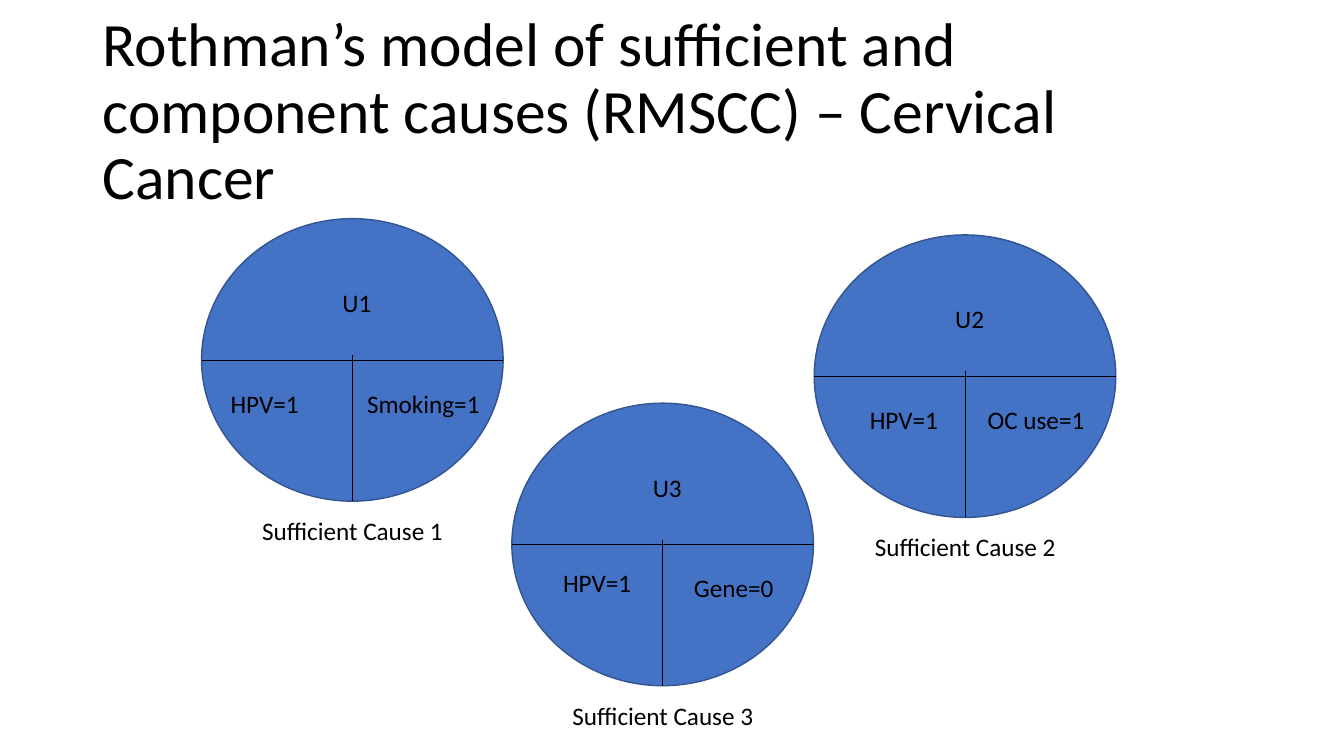
from dataclasses import dataclass

from lxml.etree import SubElement
from pptx import Presentation
from pptx.dml.color import RGBColor
from pptx.enum.shapes import MSO_CONNECTOR, MSO_SHAPE
from pptx.enum.text import MSO_ANCHOR, MSO_AUTO_SIZE, PP_ALIGN
from pptx.oxml.ns import qn
from pptx.util import Cm, Pt

BLACK = RGBColor(0x00, 0x00, 0x00)
WHITE = RGBColor(0xFF, 0xFF, 0xFF)
PIE_BLUE = RGBColor(0x44, 0x72, 0xC4)
OUTLINE_BLUE = RGBColor(0x32, 0x54, 0x91)
FONT = "Calibri"

PIE_WIDTH, PIE_HEIGHT = 7.6, 7.12
LABEL_HEIGHT = 1.02


@dataclass
class Cause:
    """A sufficient cause; label boxes are (left, top, width) in cm from the pie's corner."""
    number: int
    left: float
    top: float
    component: str
    hpv_box: tuple = (0.48, 4.14, 3.56)
    hpv_align: PP_ALIGN = PP_ALIGN.CENTER
    component_box: tuple = (3.33, 4.14, 4.52)


CAUSES = [
    Cause(2, 20.52, 5.92, "OC use=1"),
    Cause(3, 12.9, 10.16, "Gene=0", hpv_box=(0.23, 4.01, 3.84)),
    Cause(1, 5.08, 5.51, "Smoking=1", hpv_align=PP_ALIGN.LEFT),
]


def write(paragraph, text, size):
    run = paragraph.add_run()
    run.text = text
    run.font.name = FONT
    run.font.size = Pt(size)
    run.font.color.rgb = BLACK


def set_title(slide):
    title = slide.shapes.title
    title.left, title.top, title.width, title.height = Cm(2.33), Cm(1.01), Cm(29.21), Cm(3.68)
    frame = title.text_frame
    frame.word_wrap = True
    frame.auto_size = MSO_AUTO_SIZE.NONE
    frame.vertical_anchor = MSO_ANCHOR.MIDDLE
    paragraph = frame.paragraphs[0]
    paragraph.alignment = PP_ALIGN.LEFT
    paragraph.line_spacing = 0.9
    write(paragraph, "Rothman’s model of sufficient and component causes (RMSCC) – Cervical Cancer", 44)


def add_divider(group, start_x, start_y, end_x, end_y):
    line = group.shapes.add_connector(
        MSO_CONNECTOR.STRAIGHT, Cm(start_x), Cm(start_y), Cm(end_x), Cm(end_y))
    line.line.color.rgb = BLACK
    line.line.width = Pt(0.5)
    SubElement(line._element.spPr, qn("a:effectLst"))


def add_label(group, text, left, top, width, alignment=PP_ALIGN.CENTER):
    label = group.shapes.add_textbox(Cm(left), Cm(top), Cm(width), Cm(LABEL_HEIGHT))
    frame = label.text_frame
    frame.word_wrap = True
    frame.auto_size = MSO_AUTO_SIZE.SHAPE_TO_FIT_TEXT
    paragraph = frame.paragraphs[0]
    paragraph.alignment = alignment
    write(paragraph, text, 18)


def add_cause_pie(slide, cause):
    group = slide.shapes.add_group_shape()
    group.name = f"Sufficient Cause {cause.number}"
    left, top = cause.left, cause.top
    center_x, center_y = left + PIE_WIDTH / 2, top + PIE_HEIGHT / 2

    pie = group.shapes.add_shape(
        MSO_SHAPE.OVAL, Cm(left), Cm(top), Cm(PIE_WIDTH), Cm(PIE_HEIGHT))
    pie.shadow.inherit = False
    pie.fill.solid()
    pie.fill.fore_color.rgb = PIE_BLUE
    pie.line.color.rgb = OUTLINE_BLUE
    pie.line.width = Pt(1)

    add_divider(group, left, center_y, left + PIE_WIDTH, center_y)
    add_divider(group, center_x, top + PIE_HEIGHT, center_x, center_y - 0.12)

    labels = [
        ("HPV=1", cause.hpv_box, cause.hpv_align),
        (f"U{cause.number}", (2.38, 1.61, 3.07), PP_ALIGN.CENTER),
        (cause.component, cause.component_box, PP_ALIGN.CENTER),
        (f"Sufficient Cause {cause.number}", (0.48, 7.35, 6.65), PP_ALIGN.CENTER),
    ]
    for text, (offset_x, offset_y, width), alignment in labels:
        add_label(group, text, left + offset_x, top + offset_y, width, alignment)


def main():
    presentation = Presentation()
    presentation.slide_width, presentation.slide_height = Cm(33.87), Cm(19.05)
    slide = presentation.slides.add_slide(presentation.slide_layouts[5])
    slide.background.fill.solid()
    slide.background.fill.fore_color.rgb = WHITE
    set_title(slide)
    for cause in CAUSES:
        add_cause_pie(slide, cause)
    presentation.save("out.pptx")


if __name__ == "__main__":
    main()
